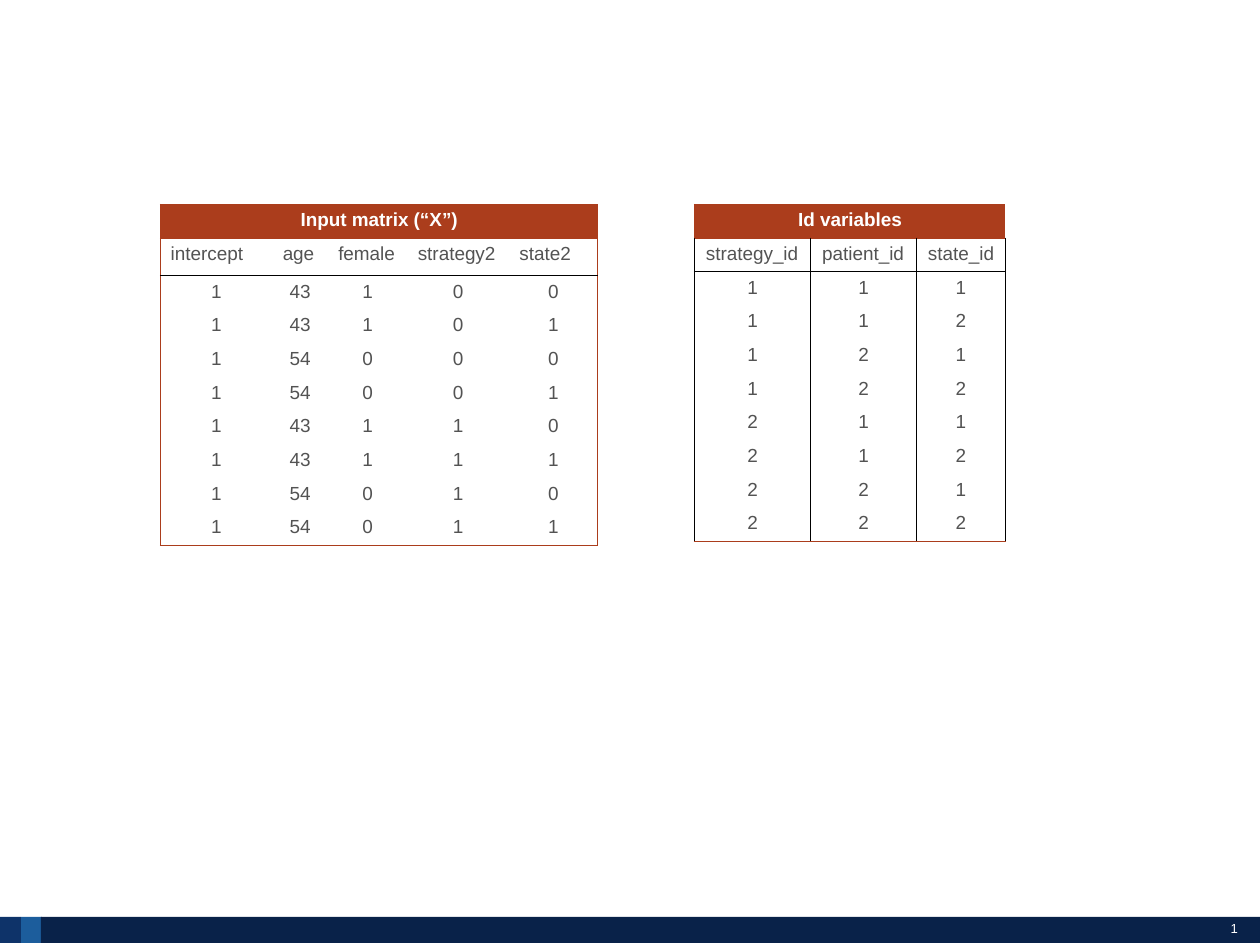
from lxml import etree
from pptx import Presentation
from pptx.dml.color import RGBColor
from pptx.enum.shapes import MSO_SHAPE
from pptx.enum.text import MSO_ANCHOR, PP_ALIGN
from pptx.oxml.ns import qn
from pptx.util import Inches, Pt

RECTANGLE = MSO_SHAPE.RECTANGLE
TOP = MSO_ANCHOR.TOP
LEFT, CENTER, RIGHT = PP_ALIGN.LEFT, PP_ALIGN.CENTER, PP_ALIGN.RIGHT
RUST, BLACK, WHITE, GRAY = "AB3D1C", "000000", "FFFFFF", "535353"
ROW_HEIGHT = 0.322


def write_text(frame, text, size=13, color=GRAY, bold=False, align=CENTER):
    paragraph = frame.paragraphs[0]
    paragraph.alignment = align
    run = paragraph.add_run()
    run.text = text
    run.font.name = "Arial"
    run.font.size = Pt(size)
    run.font.bold = bold
    run.font.color.rgb = RGBColor.from_string(color)


def set_borders(cell, **colors):
    properties = cell._tc.get_or_add_tcPr()
    for side in "LRTB":
        color = colors.get(side)
        width = Pt(1) if color == BLACK else Pt(0.75)
        line = etree.SubElement(properties, qn(f"a:ln{side}"), w=str(width))
        if color:
            fill = etree.SubElement(line, qn("a:solidFill"))
            etree.SubElement(fill, qn("a:srgbClr"), val=color)
        else:
            etree.SubElement(line, qn("a:noFill"))


presentation = Presentation()
presentation.slide_width = Inches(12.03)
presentation.slide_height = Inches(9)
slide = presentation.slides.add_slide(presentation.slide_layouts[6])

for left, width, color in [(0.2, 0.2, "1C5D9C"), (0, 0.2, "0E3369"), (0.39, 11.65, "092249")]:
    bar = slide.shapes.add_shape(RECTANGLE, Inches(left), Inches(8.75), Inches(width), Inches(0.27))
    bar.shadow.inherit = False
    bar.fill.solid()
    bar.fill.fore_color.rgb = RGBColor.from_string(color)
    bar.line.fill.background()

page_number = slide.shapes.add_textbox(Inches(10.62), Inches(8.78), Inches(1.2), Inches(0.4))
frame = page_number.text_frame
frame.word_wrap = True
frame.margin_left = frame.margin_right = frame.margin_top = frame.margin_bottom = 0
write_text(frame, "1", size=9, color=WHITE, align=RIGHT)

input_matrix = {
    "title": "Input matrix (“X”)",
    "left": 1.53,
    "widths": [1.07, 0.53, 0.76, 0.97, 0.85],
    "header_height": 0.36,
    "header_margin": 0.1,
    "edge": RUST,
    "inner": None,
    "rows": [
        ["intercept", "age", "female", "strategy2", "state2"],
        [1, 43, 1, 0, 0],
        [1, 43, 1, 0, 1],
        [1, 54, 0, 0, 0],
        [1, 54, 0, 0, 1],
        [1, 43, 1, 1, 0],
        [1, 43, 1, 1, 1],
        [1, 54, 0, 1, 0],
        [1, 54, 0, 1, 1],
    ],
}
id_variables = {
    "title": "Id variables",
    "left": 6.63,
    "widths": [1.11, 1.01, 0.85],
    "header_height": ROW_HEIGHT,
    "header_margin": 0.11,
    "edge": BLACK,
    "inner": BLACK,
    "rows": [
        ["strategy_id", "patient_id", "state_id"],
        [1, 1, 1],
        [1, 1, 2],
        [1, 2, 1],
        [1, 2, 2],
        [2, 1, 1],
        [2, 1, 2],
        [2, 2, 1],
        [2, 2, 2],
    ],
}

for data in (input_matrix, id_variables):
    widths, rows = data["widths"], data["rows"]
    last_row, last_column = len(rows), len(widths) - 1
    heights = [ROW_HEIGHT, data["header_height"]] + [ROW_HEIGHT] * (last_row - 1)
    table = slide.shapes.add_table(
        len(heights), len(widths), Inches(data["left"]), Inches(1.95),
        Inches(sum(widths)), Inches(sum(heights)),
    ).table
    table.first_row = table.horz_banding = False
    for column, width in zip(table.columns, widths):
        column.width = Inches(width)
    for row, height in zip(table.rows, heights):
        row.height = Inches(height)

    for column_index in range(len(widths)):
        cell = table.cell(0, column_index)
        set_borders(
            cell, T=RUST, B=RUST,
            L=RUST if column_index == 0 else None,
            R=RUST if column_index == last_column else None,
        )
        cell.fill.solid()
        cell.fill.fore_color.rgb = RGBColor.from_string(RUST)
    title = table.cell(0, 0)
    title.merge(table.cell(0, last_column))
    title.margin_top = title.margin_bottom = Inches(0.05)
    write_text(title.text_frame, data["title"], color=WHITE, bold=True)

    for row_index, values in enumerate(rows, start=1):
        is_header = row_index == 1
        for column_index, value in enumerate(values):
            cell = table.cell(row_index, column_index)
            set_borders(
                cell,
                L=data["edge"] if column_index == 0 else data["inner"],
                R=data["edge"] if column_index == last_column else data["inner"],
                T={1: RUST, 2: BLACK}.get(row_index),
                B={1: BLACK, last_row: RUST}.get(row_index),
            )
            cell.fill.background()
            cell.vertical_anchor = TOP
            cell.margin_left = cell.margin_right = Inches(data["header_margin"] if is_header else 0.11)
            cell.margin_top = cell.margin_bottom = Inches(0.05)
            write_text(cell.text_frame, str(value), align=LEFT if is_header else CENTER)

presentation.save("out.pptx")
